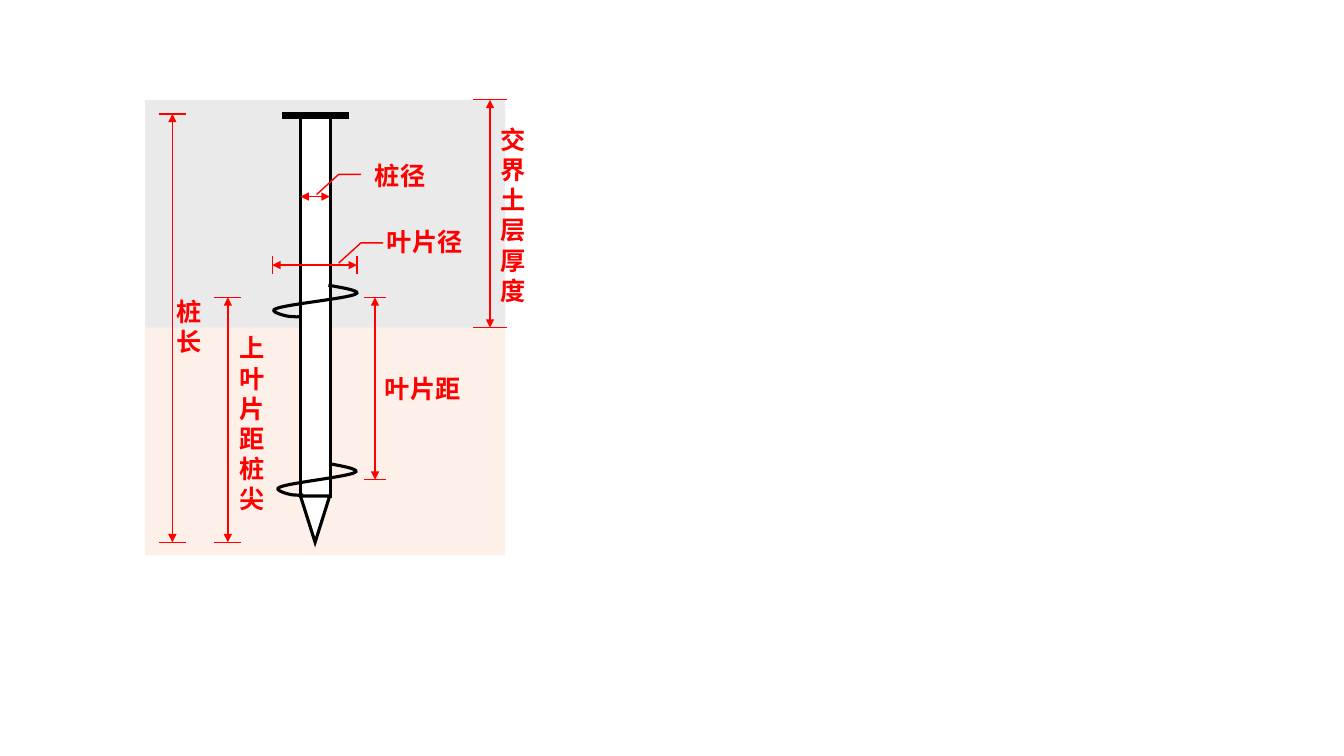
from dataclasses import dataclass

from lxml import etree
from pptx import Presentation
from pptx.dml.color import RGBColor
from pptx.enum.shapes import MSO_CONNECTOR, MSO_SHAPE
from pptx.enum.text import MSO_AUTO_SIZE
from pptx.oxml.ns import qn
from pptx.util import Inches, Pt

RECTANGLE = MSO_SHAPE.RECTANGLE
TRIANGLE = MSO_SHAPE.ISOSCELES_TRIANGLE
STRAIGHT = MSO_CONNECTOR.STRAIGHT
GROW = MSO_AUTO_SIZE.SHAPE_TO_FIT_TEXT

COLORS = {
    "upper_soil": "D9D9D9",
    "lower_soil": "FBE5D6",
    "outline": "000000",
    "pile": "FFFFFF",
    "mark": "FF0000",
}
FONT = "Noto Sans CJK SC"
COLUMNS, ROWS = 357, 452
SOIL_ALPHA = 54
BLADE_START = (33, 97)
BLADE_CURVES = [
    [(29, 100), (27, 97), (21, 97)],
    [(16, 97), (-8, 81), (4, 72)],
    [(17, 59), (87, 41), (98, 28)],
    [(107, 19), (87, 9), (66, 0)],
]
BLADES = [(131, 361, 78, 32), (127, 184, 83, 32)]
LEADERS = [(170, 74, 44, 20), (192, 142, 44, 20)]
VERTICAL_DIMENSIONS = [
    (27, 14, 439, 13.5),
    (228, 196, 377, 10.5),
    (82, 196, 439, 13.5),
    (342, 0, 226, 16.5),
]
HORIZONTAL_DIMENSIONS = [(96, 154, 183, 0), (164, 126, 210, 9)]
LABELS = [
    ("叶片距", (228, 266, 96, 40), False),
    ("上叶片距桩尖", (84, 226, 51, 192), True),
    ("桩长", (21, 190, 51, 71), True),
    ("叶片径", (230, 121, 96, 40), False),
    ("桩径", (218, 55, 71, 40), False),
    ("交界土层厚度", (343, 19, 59, 192), True),
]


@dataclass
class Box:
    """Area of the page divided into columns and rows."""

    left: int
    top: int
    width: int
    height: int

    def point(self, column, row):
        """Return the page position of a grid point."""
        return (
            round(self.left + self.width * column / COLUMNS),
            round(self.top + self.height * row / ROWS),
        )

    def area(self, column, row, columns, rows):
        """Return left, top, width and height of a grid area."""
        left, top = self.point(column, row)
        right, bottom = self.point(column + columns, row + rows)
        return left, top, right - left, bottom - top


def rgb(name):
    """Return the named colour."""
    return RGBColor.from_string(COLORS[name])


def set_line(shape, color, width):
    """Give a shape or connector a solid line with sharp corners."""
    shape.line.color.rgb = rgb(color)
    shape.line.width = Pt(width)
    etree.SubElement(shape.line._get_or_add_ln(), qn("a:miter"), lim="800000")


def add_solid(shapes, box, kind, area, fill, line_width=0):
    """Add a filled preset shape, outlined if a width is given."""
    shape = shapes.add_shape(kind, *box.area(*area))
    shape.shadow.inherit = False
    shape.fill.solid()
    shape.fill.fore_color.rgb = rgb(fill)
    if line_width:
        set_line(shape, "outline", line_width)
    else:
        shape.line.fill.background()
    return shape


def add_outline(shapes, box, points, color, width):
    """Add an open unfilled outline through grid points."""
    start, *others = [box.point(*point) for point in points]
    builder = shapes.build_freeform(*start)
    builder.add_line_segments(others, close=False)
    shape = builder.convert_to_shape()
    shape.shadow.inherit = False
    shape.fill.background()
    set_line(shape, color, width)
    return shape


def add_blade(shapes, box, area):
    """Add a helical blade, drawn with cubic curves in percent of its area."""
    column, row, columns, rows = area
    ends = [(column, row + rows), (column + columns, row)]
    blade = add_outline(shapes, box, ends, "outline", 2.25)
    outline = blade._element.find(".//" + qn("a:path"))
    for step in list(outline):
        outline.remove(step)
    outline.set("w", "100")
    outline.set("h", "100")
    steps = [("a:moveTo", [BLADE_START])]
    steps += [("a:cubicBezTo", curve) for curve in BLADE_CURVES]
    for tag, points in steps:
        step = etree.SubElement(outline, qn(tag))
        for x, y in points:
            etree.SubElement(step, qn("a:pt"), x=str(x), y=str(y))


def add_mark(shapes, box, start, end, arrows=False):
    """Add a straight dimension line, with two arrowheads if asked."""
    mark = shapes.add_connector(STRAIGHT, *box.point(*start), *box.point(*end))
    set_line(mark, "mark", 1)
    if arrows:
        line = mark.line._get_or_add_ln()
        for tag in ("a:headEnd", "a:tailEnd"):
            etree.SubElement(line, qn(tag), type="triangle")
    etree.SubElement(mark._element.spPr, qn("a:effectLst"))


def add_soil(shapes, box):
    """Add the two translucent soil layers."""
    half = ROWS / 2
    for row, name in ((half, "lower_soil"), (0, "upper_soil")):
        layer = add_solid(shapes, box, RECTANGLE, (0, row, COLUMNS, half), name)
        color = layer._element.spPr.find(".//" + qn("a:srgbClr"))
        etree.SubElement(color, qn("a:alpha"), val=str(SOIL_ALPHA * 1000))


def add_pile(shapes, box):
    """Add the shaft, tip, helical blades and cap of the pile."""
    add_solid(shapes, box, RECTANGLE, (154, 16, 30, 378), "pile", 2.25)
    tip = add_solid(shapes, box, TRIANGLE, (154, 393, 29, 46), "pile", 2.25)
    tip.rotation = 180
    for area in BLADES:
        add_blade(shapes, box, area)
    add_solid(shapes, box, RECTANGLE, (136, 13, 66, 5), "outline", 1)


def add_dimensions(shapes, box):
    """Add the dimension arrows with their ticks, and the leaders."""
    for column, top, bottom, reach in VERTICAL_DIMENSIONS:
        add_mark(shapes, box, (column, top), (column, bottom), arrows=True)
        for row in (top, bottom):
            add_mark(shapes, box, (column - reach, row), (column + reach, row))
    for row, left, right, reach in HORIZONTAL_DIMENSIONS:
        add_mark(shapes, box, (left, row), (right, row), arrows=True)
        for column in (left, right) if reach else ():
            add_mark(shapes, box, (column, row - reach), (column, row + reach))
    for column, row, columns, rows in LEADERS:
        points = [(column, row + rows), (column + columns / 2, row), (column + columns, row)]
        add_outline(shapes, box, points, "mark", 1)


def add_labels(shapes, box):
    """Add the names of the dimensions; narrow boxes stack their characters."""
    for text, area, stacked in LABELS:
        frame = shapes.add_textbox(*box.area(*area)).text_frame
        frame.word_wrap = stacked
        frame.auto_size = GROW
        span = frame.paragraphs[0].add_run()
        span.text = text
        span.font.name = FONT
        span.font.size = Pt(18)
        span.font.bold = True
        span.font.color.rgb = rgb("mark")
        etree.SubElement(span.font._element, qn("a:ea"), typeface=FONT)


def add_pile_diagram(page, box):
    """Add the whole screw pile diagram as one group."""
    shapes = page.shapes.add_group_shape().shapes
    for add_part in (add_soil, add_pile, add_dimensions, add_labels):
        add_part(shapes, box)


def main():
    """Build and save the deck."""
    deck = Presentation()
    deck.slide_width, deck.slide_height = Inches(13.33), Inches(7.5)
    page = deck.slides.add_slide(deck.slide_layouts[6])
    box = Box(Inches(1.44), Inches(0.99), Inches(3.57), Inches(4.52))
    add_pile_diagram(page, box)
    deck.save("out.pptx")


if __name__ == "__main__":
    main()
